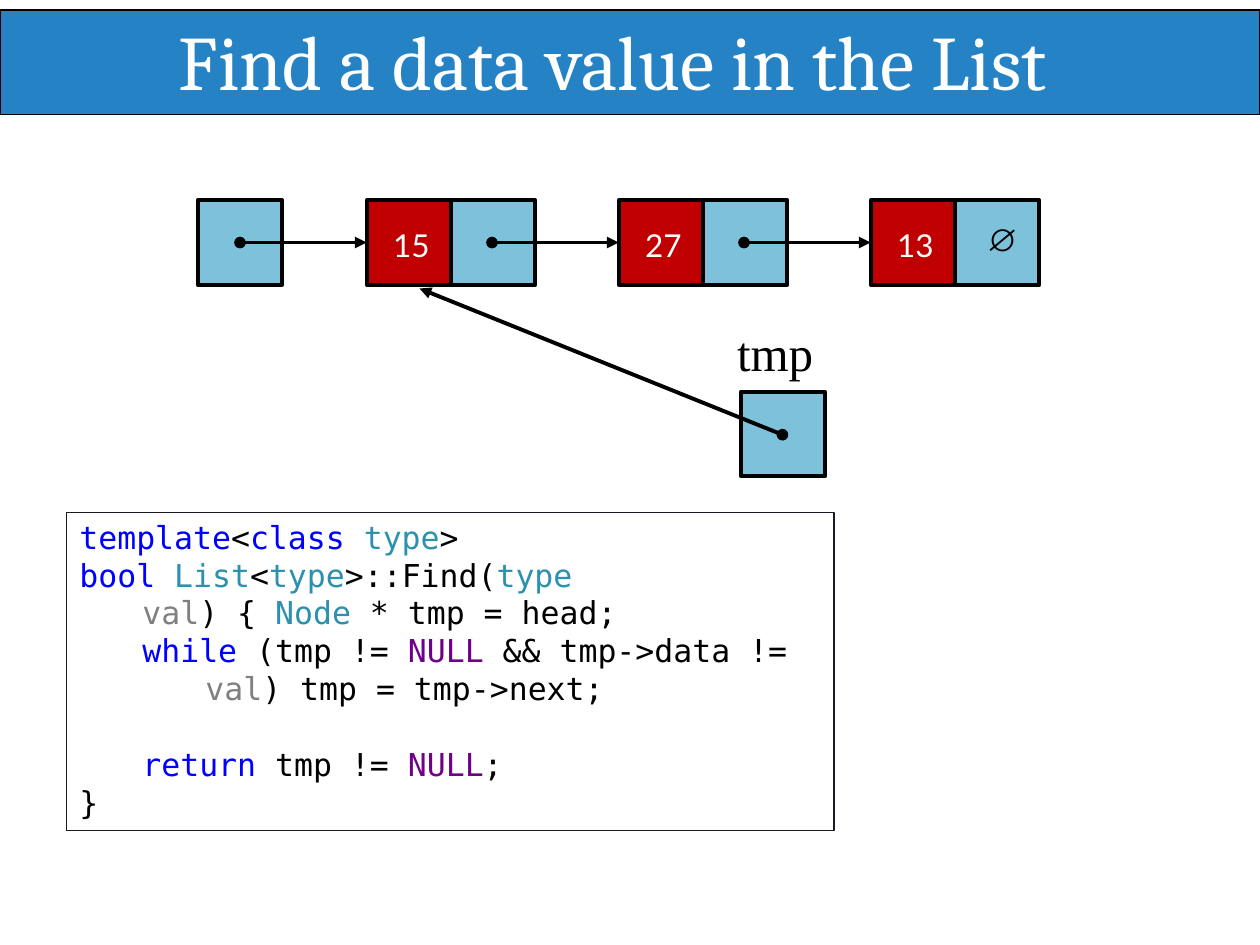
from lxml import etree
from pptx import Presentation
from pptx import util as u
from pptx.dml.color import RGBColor
from pptx.enum import shapes, text
from pptx.oxml import ns

Inches, Pt = u.Inches, u.Pt
BLACK, WHITE = "000000", "FFFFFF"
BAND, POINTER, DATA = "2583C5", "7EC1DB", "C00000"
KEYWORD, TYPE, PARAM, MACRO = "0000FF", "2B91AE", "808080", "6E0089"


def color(value):
    return RGBColor.from_string(value)


def add_box(left, top, width, height, fill, line=BLACK, weight=2.25, insets=(0, 0)):
    box = slide.shapes.add_shape(
        shapes.MSO_SHAPE.RECTANGLE, Inches(left), Inches(top), Inches(width), Inches(height))
    box.shadow.inherit = False
    if fill:
        box.fill.solid()
        box.fill.fore_color.rgb = color(fill)
    else:
        box.fill.background()
    box.line.color.rgb = color(line)
    box.line.width = Pt(weight)
    frame = box.text_frame
    frame.margin_left, frame.margin_top = [Inches(inset) for inset in insets]
    frame.margin_right = frame.margin_bottom = 0
    frame.vertical_anchor = text.MSO_ANCHOR.TOP
    frame.paragraphs[0].alignment = text.PP_ALIGN.LEFT
    return box


prs = Presentation()
prs.slide_width, prs.slide_height = Inches(10), Inches(7.5)
slide = prs.slides.add_slide(prs.slide_layouts[5])

# Title on its band
title = slide.shapes.title
band = add_box(0, 0.08, 10, 0.83, BAND, weight=0.75)
title.element.addprevious(band.element)
title.text_frame.text = "Find a data value in the List"

# Label of the temporary pointer
tmp_label = slide.shapes.add_textbox(0, 0, 0, 0)
tmp_label.text_frame.text = "tmp"

for label, place, indent, size, font, ink in (
        (title, (0.94, 0.1, 8.12, 0.76), 0.48, 44, "Cambria", WHITE),
        (tmp_label, (5.84, 2.55, 0.7, 0.49), 0.01, 28, "Times New Roman", BLACK)):
    label.left, label.top, label.width, label.height = [Inches(value) for value in place]
    frame = label.text_frame
    frame.word_wrap = True
    frame.auto_size = text.MSO_AUTO_SIZE.NONE
    frame.vertical_anchor = text.MSO_ANCHOR.TOP
    frame.margin_left, frame.margin_top = Inches(indent), Inches(0.01)
    frame.margin_right = frame.margin_bottom = 0
    line = frame.paragraphs[0]
    line.alignment = text.PP_ALIGN.LEFT
    line.font.size, line.font.name = Pt(size), font
    line.font.color.rgb = color(ink)

# Linked list: head pointer, then three nodes of data and pointer
CELL, ROW_TOP, HEAD_LEFT, NODE_LEFT, PITCH = 0.67, 1.59, 1.57, 2.91, 2
cells = [(HEAD_LEFT, ROW_TOP, POINTER, ""), (5.88, 3.11, POINTER, "")]
for i, value in enumerate(("15", "27", "13")):
    left = NODE_LEFT + i * PITCH
    cells += [(left, ROW_TOP, DATA, value),
              (left + CELL, ROW_TOP, POINTER, "∅" if value == "13" else "")]

for left, top, fill, value in cells:
    is_data = fill == DATA
    cell = add_box(left, top, CELL, CELL, fill, insets=(0.21, 0.2) if is_data else (0.25, 0.16))
    if value:
        entry = cell.text_frame.paragraphs[0]
        entry.text = value
        entry.font.size = Pt(18)
        entry.font.name = "Lato" if is_data else "Arial"
        entry.font.color.rgb = color(WHITE if is_data else BLACK)

# Pointer arrows, dot at the start and arrowhead at the end
ARROW_Y = ROW_TOP + CELL / 2
arrows = [(HEAD_LEFT + CELL / 2 + i * PITCH, ARROW_Y, NODE_LEFT + i * PITCH, ARROW_Y)
          for i in range(3)]
arrows.append((6.21, 3.45, 3.33, 2.29))
for ends in arrows:
    arrow = slide.shapes.add_connector(
        shapes.MSO_CONNECTOR.STRAIGHT, *[Inches(end) for end in ends])
    arrow.line.color.rgb = color(BLACK)
    arrow.line.width = Pt(2.25)
    outline = arrow.line._get_or_add_ln()
    etree.SubElement(outline, ns.qn("a:headEnd"), type="oval")
    etree.SubElement(outline, ns.qn("a:tailEnd"), type="triangle")
    etree.SubElement(arrow.element.spPr, ns.qn("a:effectLst"))

# Code listing: left margin, hanging indent, right margin, space before, coloured pieces
listing = [
    (0.1, 0, 0, 0, [("template", KEYWORD), ("<", BLACK), ("class ", KEYWORD),
                    ("type", TYPE), (">", BLACK)]),
    (0.6, -0.5, 1.6, 0, [("bool ", KEYWORD), ("List", TYPE), ("<", BLACK), ("type", TYPE),
                         (">::Find(", BLACK), ("type ", TYPE), ("val", PARAM),
                         (") { ", BLACK), ("Node ", TYPE), ("* tmp = head;", BLACK)]),
    (1.1, -0.5, 0, 0, [("while ", KEYWORD), ("(tmp != ", BLACK), ("NULL ", MACRO),
                       ("&& tmp->data != ", BLACK), ("val", PARAM),
                       (") tmp = tmp->next;", BLACK)]),
    (0.6, 0, 0, 22, [("return ", KEYWORD), ("tmp != ", BLACK), ("NULL", MACRO), (";", BLACK)]),
    (0.1, 0, 0, 0, [("}", BLACK)]),
]
code = add_box(0.53, 4.07, 6.09, 2.52, None, "1B1A22", 0.75, (0, 0.04)).text_frame
code.word_wrap = True
for i, (margin, hanging, right, gap, pieces) in enumerate(listing):
    statement = code.add_paragraph() if i else code.paragraphs[0]
    statement.alignment = text.PP_ALIGN.LEFT
    statement.space_before = Pt(gap)
    props = statement._p.get_or_add_pPr()
    for key, value in (("marL", margin), ("indent", hanging), ("marR", right)):
        props.set(key, str(Inches(value)))
    for words, ink in pieces:
        piece = statement.add_run()
        piece.text = words
        piece.font.size, piece.font.name = Pt(18), "DejaVu Sans Mono"
        piece.font.color.rgb = color(ink)

prs.save("out.pptx")
